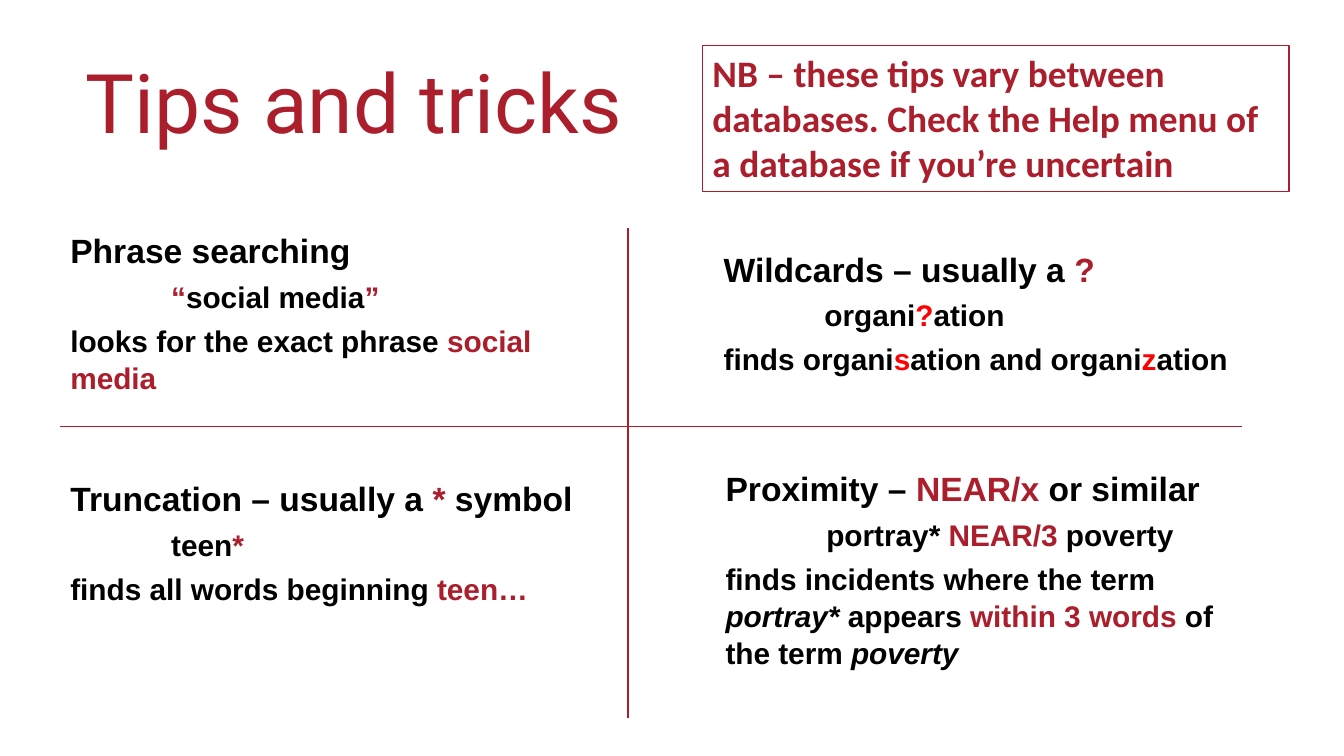
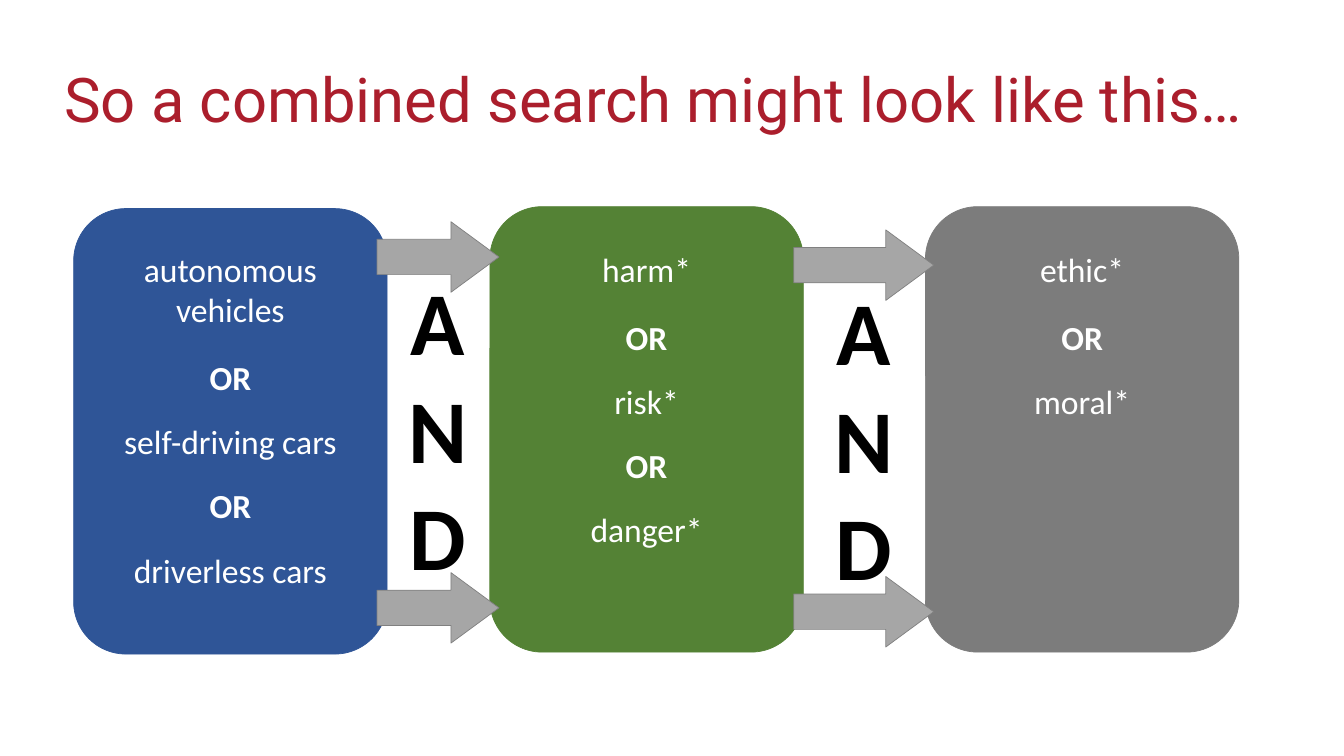
from lxml import etree
from pptx import Presentation
from pptx.dml.color import RGBColor
from pptx.enum.shapes import MSO_CONNECTOR, MSO_SHAPE
from pptx.enum.text import MSO_ANCHOR, PP_ALIGN
from pptx.oxml.ns import qn
from pptx.util import Pt

CRIMSON = RGBColor(0xAB, 0x1E, 0x2C)
RED = RGBColor(0xFF, 0x00, 0x00)
BLACK = RGBColor(0x00, 0x00, 0x00)
WHITE = RGBColor(0xFF, 0xFF, 0xFF)
BLUE = RGBColor(0x2F, 0x55, 0x97)
GREEN = RGBColor(0x54, 0x82, 0x35)
GREY = RGBColor(0x7C, 0x7C, 0x7C)
ARROW_FILL = RGBColor(0xA6, 0xA6, 0xA6)
ARROW_LINE = RGBColor(0x80, 0x80, 0x80)

TITLE = {"name": "Roboto", "color": CRIMSON}
NOTE = {"name": "Calibri", "size": Pt(26.7), "bold": True, "color": CRIMSON}
TIP_HEADING = {"name": "Arial", "size": Pt(24), "bold": True, "color": BLACK}
TIP_BODY = {**TIP_HEADING, "size": Pt(21.3)}
TERM = {"name": "Calibri", "size": Pt(24), "bold": False, "color": WHITE}
OPERATOR = {**TERM, "bold": True}
JOINING_WORD = {"name": "Calibri", "size": Pt(64), "bold": True, "color": BLACK}

KEY = {"color": CRIMSON}
LETTER = {"color": RED}
ITALIC = {"italic": True}

# Each tip: box, then heading, example and explanation as (text, emphasis) runs
TIPS = [
    ((43.2, 159.8, 377.3, 124.6),
     [("Phrase searching", {})],
     [("“", KEY), ("social media", {}), ("”", KEY)],
     [("looks for the exact phrase ", {}), ("social media", KEY)]),
    ((43.2, 337, 377.3, 98.6),
     [("Truncation – usually a ", {}), ("*", KEY), (" symbol", {})],
     [("teen", {}), ("*", KEY)],
     [("finds all words beginning ", {}), ("teen…", KEY)]),
    ((509.8, 172.8, 387.4, 98.6),
     [("Wildcards – usually a ", {}), ("?", KEY)],
     [("organi", {}), ("?", LETTER), ("ation", {})],
     [("finds organi", {}), ("s", LETTER), ("ation and organi", {}),
      ("z", LETTER), ("ation", {})]),
    ((511.2, 329.8, 377.3, 149.8),
     [("Proximity – ", {}), ("NEAR/x ", KEY), ("or similar", {})],
     [("portray* ", {}), ("NEAR/3", KEY), (" poverty", {})],
     [("finds incidents where the term ", {}), ("portray*", ITALIC),
      (" appears ", {}), ("within 3 words", KEY), (" of the term ", {}),
      ("poverty", ITALIC)]),
]

CARD_WIDTH, CARD_HEIGHT = 223.9, 318.2
CARDS = [
    (52.6, 149, BLUE, ["autonomous vehicles", "self-driving cars", "driverless cars"]),
    (349.9, 147.6, GREEN, ["harm*", "risk*", "danger*"]),
    (661, 147.6, GREY, ["ethic*", "moral*"]),
]
# Left, top, arrow width, drop to the lower arrow, drop to the word
LINKS = [(269.3, 158.4, 87.1, 250.6, 28.1), (567, 164.2, 100, 247.6, 29.5)]


def points(*values):
    return [Pt(value) for value in values]


def add_run(paragraph, text, style):
    run = paragraph.add_run()
    run.text = text
    for key, value in style.items():
        if key == "color":
            run.font.color.rgb = value
        else:
            setattr(run.font, key, value)


def add_text_box(slide, box, anchor=MSO_ANCHOR.TOP):
    frame = slide.shapes.add_textbox(*points(*box)).text_frame
    frame.word_wrap = True
    frame.vertical_anchor = anchor
    return frame


def next_paragraph(frame, first, **settings):
    paragraph = frame.paragraphs[0] if first else frame.add_paragraph()
    for key, value in settings.items():
        setattr(paragraph, key, value)
    return paragraph


def add_title(slide, text, box, size, line_spacing=1.0):
    frame = add_text_box(slide, box, MSO_ANCHOR.MIDDLE)
    paragraph = next_paragraph(frame, True, line_spacing=line_spacing)
    add_run(paragraph, text, {**TITLE, "size": Pt(size)})


def add_preset(slide, preset, box, fill, line, line_width):
    shape = slide.shapes.add_shape(preset, *points(*box))
    shape.shadow.inherit = False
    if fill is None:
        shape.fill.background()
    else:
        shape.fill.solid()
        shape.fill.fore_color.rgb = fill
    shape.line.color.rgb = line
    shape.line.width = Pt(line_width)
    return shape


def add_note(slide, text, box):
    shape = add_preset(slide, MSO_SHAPE.RECTANGLE, box, None, CRIMSON, 1)
    frame = shape.text_frame
    frame.word_wrap = True
    frame.vertical_anchor = MSO_ANCHOR.TOP
    add_run(next_paragraph(frame, True, alignment=PP_ALIGN.LEFT), text, NOTE)


def add_divider(slide, *ends):
    line = slide.shapes.add_connector(MSO_CONNECTOR.STRAIGHT, *points(*ends))
    line.line.color.rgb = CRIMSON
    line.line.width = Pt(1)
    etree.SubElement(line._element.spPr, qn("a:effectLst"))


def add_tip(slide, box, heading, example, explanation):
    frame = add_text_box(slide, box)
    rows = [(heading, TIP_HEADING, 0), (example, TIP_BODY, 72),
            (explanation, TIP_BODY, 0)]
    for index, (runs, style, indent) in enumerate(rows):
        paragraph = next_paragraph(frame, index == 0, line_spacing=1.04,
                                   space_before=Pt(4.8 if index else 0))
        paragraph._p.get_or_add_pPr().set("marL", str(Pt(indent)))
        for text, emphasis in runs:
            add_run(paragraph, text, {**style, **emphasis})


def add_card(slide, left, top, color, terms):
    """Rounded card listing alternative terms joined by OR."""
    add_preset(slide, MSO_SHAPE.FLOWCHART_ALTERNATE_PROCESS,
               (left, top, CARD_WIDTH, CARD_HEIGHT), color, color, 0.5)
    frame = add_text_box(slide, (left + 27.4, 174.2, CARD_WIDTH - 54.8, 252))
    rows = [(terms[0], TERM)]
    for term in terms[1:]:
        rows += [("OR", OPERATOR), (term, TERM)]
    for index, (text, style) in enumerate(rows):
        gap = (0, 19.5)[index] if index < 2 else 17.1
        paragraph = next_paragraph(frame, index == 0, space_before=Pt(gap),
                                   alignment=PP_ALIGN.CENTER)
        add_run(paragraph, text, style)


def add_link(slide, left, top, width, arrow_drop, word_drop):
    """Two arrows with a narrow box between them that stacks the word AND."""
    for arrow_top in (top, top + arrow_drop):
        arrow = add_preset(slide, MSO_SHAPE.RIGHT_ARROW,
                           (left, arrow_top, width, 50.4),
                           ARROW_FILL, ARROW_LINE, 0.5)
        arrow.adjustments[0] = 0.5
        arrow.adjustments[1] = 0.68
    word_width = 59.8
    word_left = left + (width - word_width) / 2
    frame = add_text_box(slide, (word_left, top + word_drop, word_width, 239.8))
    add_run(next_paragraph(frame, True, alignment=PP_ALIGN.CENTER),
            "AND", JOINING_WORD)


def build_tips_slide(slide):
    add_title(slide, "Tips and tricks", (54, 13.7, 557, 115.9), 58.7)
    add_note(slide, "NB – these tips vary between databases. Check the Help "
             "menu of a database if you’re uncertain", (501.8, 32.4, 419, 104.4))
    for tip in TIPS:
        add_tip(slide, *tip)
    add_divider(slide, 43.2, 304.6, 887, 304.6)
    add_divider(slide, 448.6, 512.6, 448.6, 162.7)


def build_search_slide(slide):
    add_title(slide, "So a combined search might look like this…",
              (38.9, 15.1, 871.2, 115.9), 44, 0.9)
    for card in CARDS:
        add_card(slide, *card)
    for link in LINKS:
        add_link(slide, *link)


def main():
    presentation = Presentation()
    presentation.slide_width, presentation.slide_height = points(960, 540)
    for build in (build_tips_slide, build_search_slide):
        build(presentation.slides.add_slide(presentation.slide_layouts[6]))
    presentation.save("out.pptx")


if __name__ == "__main__":
    main()
